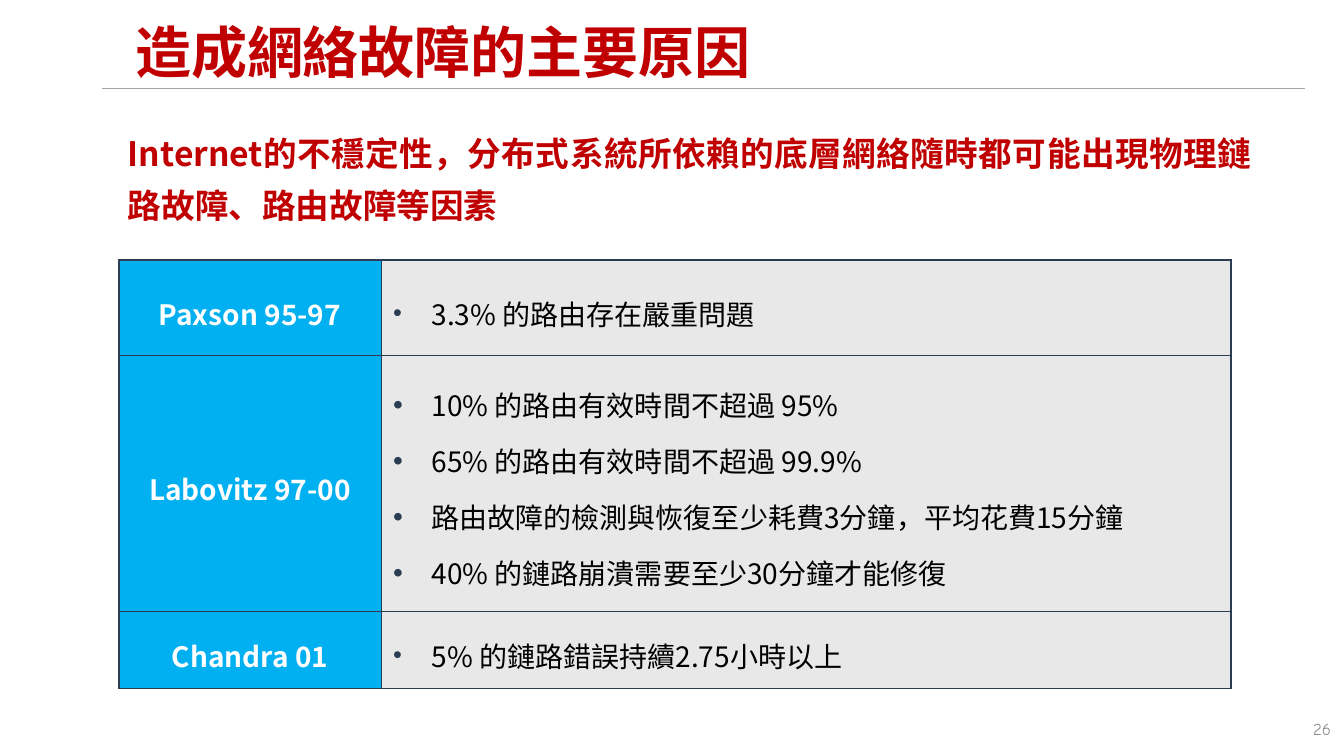
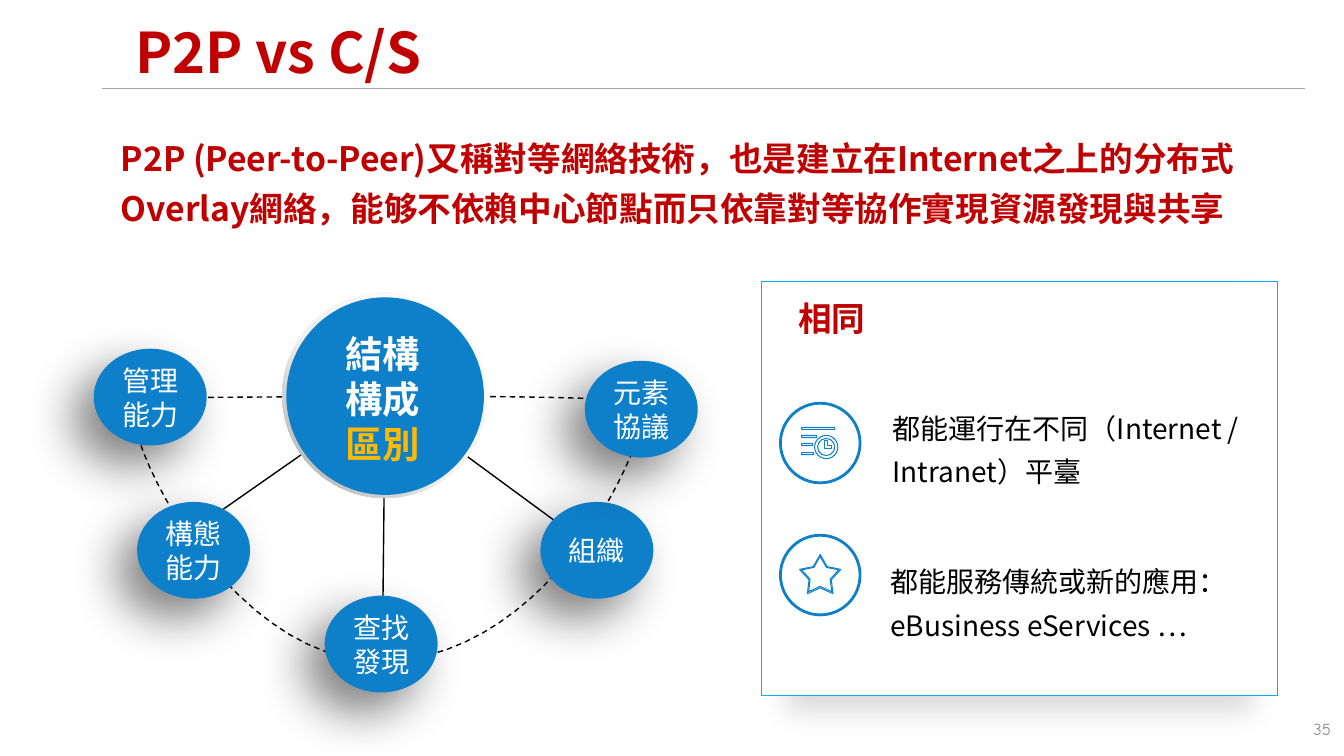
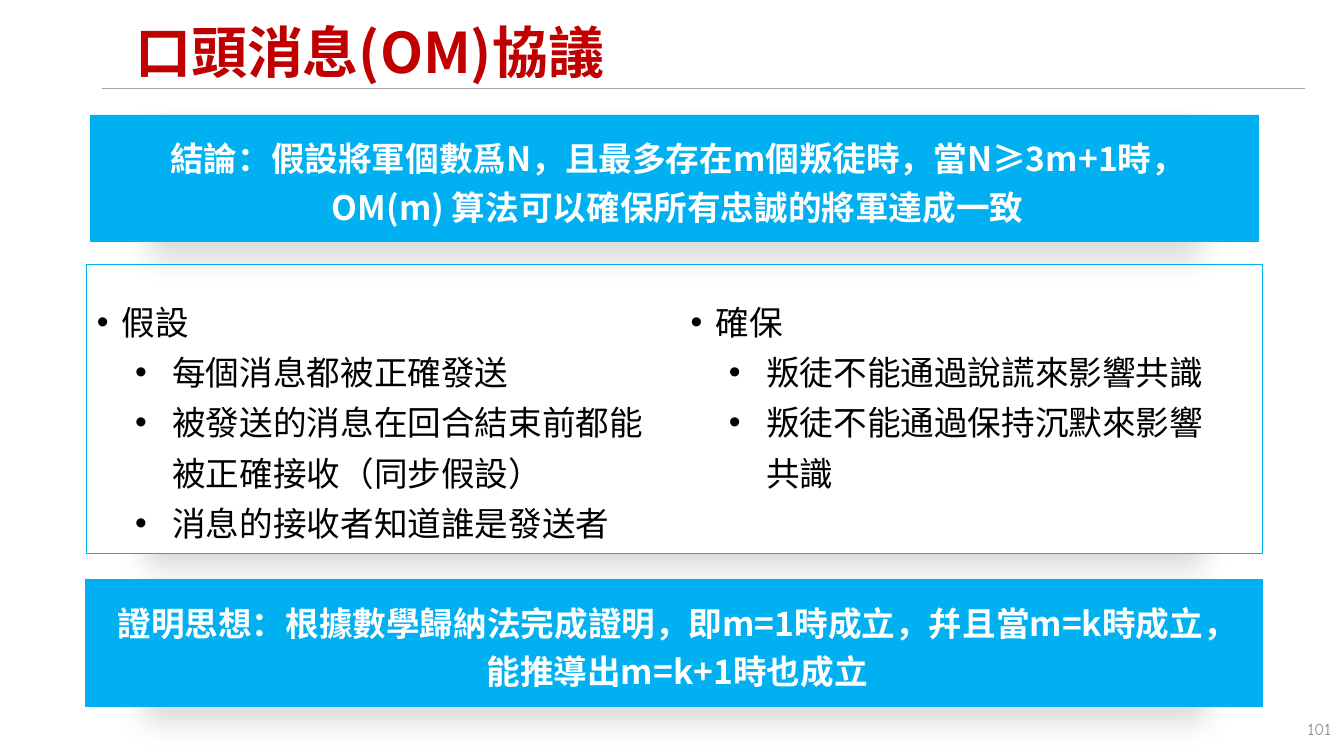
from dataclasses import dataclass

from lxml.etree import SubElement
from pptx import Presentation
from pptx.dml.color import RGBColor
from pptx.enum.dml import MSO_LINE
from pptx.enum.shapes import MSO_CONNECTOR, MSO_SHAPE
from pptx.enum.text import MSO_ANCHOR, MSO_AUTO_SIZE, PP_ALIGN
from pptx.oxml.ns import qn
from pptx.util import Inches, Pt


@dataclass(frozen=True)
class Theme:
    font: str = "Noto Sans CJK SC"
    num_font: str = "Comic Neue"
    red: str = "C00000"
    sky: str = "00B0F0"
    blue: str = "0E80C9"
    gold: str = "FEBA01"
    navy: str = "2A3D52"
    pale: str = "E8E8E9"
    mist: str = "F2F2F2"
    rule: str = "A6A6A6"
    gray: str = "8C8C8C"
    white: str = "FFFFFF"
    black: str = "000000"
    title: float = 40
    hub: float = 26.7
    lead: float = 24
    text: float = 20
    num: float = 12


T = Theme()
LEFT, MID, RIGHT = PP_ALIGN.LEFT, PP_ALIGN.CENTER, PP_ALIGN.RIGHT
NODE_SHADE = dict(alpha=50, blur=35, dist=20, angle=135)
BOX_SHADE = dict(alpha=15, blur=20, dist=10, angle=90, wide=90)

FAULTS = dict(
    title="造成網絡故障的主要原因", number="26",
    lead="Internet的不穩定性，分布式系統所依賴的底層網絡隨時都可能出現物理鏈路故障、路由故障等因素",
    cols=(2.6, 8.43), rows=(0.95, 2.54, 0.76),
    table=[
        ("Paxson 95-97", ["3.3% 的路由存在嚴重問題"]),
        ("Labovitz 97-00", [
            "10% 的路由有效時間不超過 95%",
            "65% 的路由有效時間不超過 99.9%",
            "路由故障的檢測與恢復至少耗費3分鐘，平均花費15分鐘",
            "40% 的鏈路崩潰需要至少30分鐘才能修復"]),
        ("Chandra 01", ["5% 的鏈路錯誤持續2.75小時以上"]),
    ])

PEERS = dict(
    title="P2P vs C/S", number="35",
    lead="P2P (Peer-to-Peer)又稱對等網絡技術，也是建立在Internet之上的分布式Overlay網絡，"
         "能够不依賴中心節點而只依靠對等協作實現資源發現與共享",
    hub=["結構", "構成", "區別"],
    nodes=[("管理能力", 0.93, 3.46), ("構態能力", 1.36, 4.98), ("查找發現", 3.22, 5.91),
           ("組織", 5.36, 4.98), ("元素協議", 5.8, 3.58)],
    spokes=[(1.63, 5.46), (3.79, 6.76), (6.16, 5.65)],
    orbit=[(1.39, 3.94),
           (1.76, 3.96), (5.96, 3.88), (6.38, 4),
           (6.46, 4.33), (5.51, 6.49), (3.84, 6.56),
           (2.16, 6.63), (1.01, 3.93), (1.39, 3.94)],
    same="相同",
    points=[("都能運行在不同（Internet / Intranet）平臺", (8.72, 3.91, 3.85, 0.97)),
            ("都能服務傳統或新的應用：eBusiness eServices …", (8.7, 5.43, 3.72, 0.97))],
    rings=(4, 5.31))

ORAL = dict(
    title="口頭消息(OM)協議", number="101",
    bands=[((0.9, 1.14, 11.58, 1.26),
            ["結論：假設將軍個數爲N，且最多存在m個叛徒時，當N≥3m+1時，",
             "OM(m) 算法可以確保所有忠誠的將軍達成一致"]),
           ((0.85, 5.75, 11.67, 1.26),
            ["證明思想：根據數學歸納法完成證明，即m=1時成立，幷且當m=k時成立，能推導出m=k+1時也成立"])],
    lists=[((0.86, 2.84, 5.64, 2.65),
            [("假設", 0), ("每個消息都被正確發送", 1),
             ("被發送的消息在回合結束前都能被正確接收（同步假設）", 1),
             ("消息的接收者知道誰是發送者", 1)]),
           ((6.75, 2.84, 5.37, 2.34),
            [("確保", 0), ("叛徒不能通過說謊來影響共識", 1),
             ("叛徒不能通過保持沉默來影響共識", 1)])])

ICON_BARS = [(4.24, 0.33), (4.32, 0.15), (4.4, 0.11), (4.49, 0.12)]
ICON_HAND = [(8.18, 4.37), (8.21, 4.37), (8.21, 4.42), (8.25, 4.42), (8.25, 4.45),
             (8.18, 4.45)]


def rgb(code):
    return RGBColor.from_string(code)


def inch(box):
    return [Inches(v) for v in box]


def bullet(para, left, hang, color=None, scale=None):
    props = para._p.get_or_add_pPr()
    props.set("marL", str(Inches(left)))
    props.set("indent", str(-Inches(hang)))
    if color:
        SubElement(SubElement(props, qn("a:buClr")), qn("a:srgbClr")).set("val", color)
    if scale:
        SubElement(props, qn("a:buSzPct")).set("val", str(scale * 1000))
    SubElement(props, qn("a:buFont")).set("typeface", "Arial")
    SubElement(props, qn("a:buChar")).set("char", "•")


def write(frame, lines, size, color, bold=False, align=LEFT, gap=None,
          before=0, marks=None, font=T.font):
    """Fill a frame; a line is a string or a (string, level) pair."""
    for i, line in enumerate(lines):
        text, level = (line, 0) if isinstance(line, str) else line
        para = frame.add_paragraph() if i else frame.paragraphs[0]
        para.level, para.alignment = level, align
        para.space_before = Pt(before if i else 0)
        if gap:
            para.line_spacing = gap
        if marks:
            bullet(para, *marks[level])
        run = para.add_run()
        run.text = text
        run.font.size, run.font.bold = Pt(size), bold
        run.font.color.rgb = rgb(color)
        run.font.name = font
        SubElement(run._r.get_or_add_rPr(), qn("a:ea")).set("typeface", font)


def setup(frame, anchor=MSO_ANCHOR.TOP, inset=(0.1, 0.05, 0.1, 0.05), wrap=True):
    frame.auto_size, frame.word_wrap = MSO_AUTO_SIZE.NONE, wrap
    frame.vertical_anchor = anchor
    (frame.margin_left, frame.margin_top,
     frame.margin_right, frame.margin_bottom) = inch(inset)
    return frame


def place(holder, box):
    holder.left, holder.top, holder.width, holder.height = inch(box)


def label(slide, box, lines, size, color, wrap=True, **style):
    frame = setup(slide.shapes.add_textbox(*inch(box)).text_frame, wrap=wrap)
    write(frame, lines, size, color, **style)
    return frame


def shade(shape, alpha, blur, dist, angle, wide=100):
    effects = shape._element.spPr.find(qn("a:effectLst"))
    outer = SubElement(effects, qn("a:outerShdw"), blurRad=str(Pt(blur)),
                       dist=str(Pt(dist)), dir=str(angle * 60000),
                       sx=str(wide * 1000), algn="t", rotWithShape="0")
    tone = SubElement(outer, qn("a:srgbClr"), val=T.black)
    SubElement(tone, qn("a:alpha"), val=str(alpha * 1000))


def dress(shape, fill=None, line=None, width=1):
    shape.shadow.inherit = False
    if fill:
        shape.fill.solid()
        shape.fill.fore_color.rgb = rgb(fill)
    else:
        shape.fill.background()
    if line:
        shape.line.color.rgb, shape.line.width = rgb(line), Pt(width)
    else:
        shape.line.fill.background()
    return shape


def draw(slide, kind, box, fill, line=None, width=1, shadow=None):
    shape = dress(slide.shapes.add_shape(kind, *inch(box)), fill, line, width)
    if shadow:
        shade(shape, **shadow)
    return shape


def outline(slide, points, **look):
    pen = slide.shapes.build_freeform(*inch(points[0]))
    pen.add_line_segments([inch(p) for p in points[1:]], close=True)
    return dress(pen.convert_to_shape(), **look)


def link(slide, start, end, color):
    line = slide.shapes.add_connector(MSO_CONNECTOR.STRAIGHT, *inch(start + end))
    line.line.color.rgb, line.line.width = rgb(color), Pt(1)
    SubElement(line._element.spPr, qn("a:effectLst"))
    return line


def start(prs, layout, data):
    slide = prs.slides.add_slide(prs.slide_layouts[layout])
    title = slide.shapes.title
    place(title, (1.24, 0.15, 11.18, 0.79))
    write(setup(title.text_frame, MSO_ANCHOR.MIDDLE), [data["title"]],
          T.title, T.red, True, gap=0.9)
    label(slide, (10.19, 7.08, 3.11, 0.4), [data["number"]], T.num, T.gray,
          align=RIGHT, font=T.num_font)
    return slide


def border(cell):
    props = cell._tc.get_or_add_tcPr()
    for i, side in enumerate(("lnL", "lnR", "lnT", "lnB")):
        edge = props.makeelement(qn("a:" + side), {"w": str(Pt(1))})
        SubElement(SubElement(edge, qn("a:solidFill")), qn("a:srgbClr"), val=T.navy)
        props.insert(i, edge)


def build_faults(prs):
    slide = start(prs, 5, FAULTS)
    cols, rows = FAULTS["cols"], FAULTS["rows"]
    label(slide, (1.17, 1.15, 11.34, 1.1), [FAULTS["lead"]], T.lead, T.red,
          bold=True, align=PP_ALIGN.JUSTIFY, gap=1.3)
    table = slide.shapes.add_table(
        len(rows), len(cols), *inch((1.18, 2.58, sum(cols), sum(rows)))).table
    table.first_row = table.horz_banding = False
    for col, width in zip(table.columns, cols):
        col.width = Inches(width)
    for row, height, (name, facts) in zip(table.rows, rows, FAULTS["table"]):
        row.height = Inches(height)
        for cell, fill in zip(row.cells, (T.sky, T.pale)):
            cell.fill.solid()
            cell.fill.fore_color.rgb = rgb(fill)
            cell.vertical_anchor = MSO_ANCHOR.MIDDLE
            cell.margin_left = cell.margin_right = Inches(0.12)
            cell.margin_top = cell.margin_bottom = Inches(0.06)
            border(cell)
        head, body = row.cells
        write(head.text_frame, [name], T.text, T.white, True, MID, Pt(36))
        scale = 90 if len(facts) == 1 else 100
        write(body.text_frame, facts, T.text, T.black, gap=Pt(36), before=4,
              marks=[(0.38, 0.38, T.navy, scale)])


def curve(points, steps=24):
    """Sample a chain of cubic curves."""
    spots = [points[0]]
    for i in range(0, len(points) - 1, 3):
        for n in range(1, steps + 1):
            t = n / steps
            parts = ((1 - t) ** 3, 3 * t * (1 - t) ** 2, 3 * t * t * (1 - t), t ** 3)
            spots.append([sum(w * p[k] for w, p in zip(parts, points[i:i + 4]))
                          for k in (0, 1)])
    return spots


def add_hub(slide):
    rim = draw(slide, MSO_SHAPE.DONUT, (2.8, 2.9, 2.04, 2.04), T.white)
    rim.adjustments[0] = 0.05
    rim.fill.gradient()
    rim.fill.gradient_angle = 225
    stops = rim._element.spPr.find(qn("a:gradFill")).find(qn("a:gsLst"))
    for stop in list(stops):
        stops.remove(stop)
    for pos, color in ((0, T.white), (55, T.mist), (100, T.rule)):
        stop = SubElement(stops, qn("a:gs"), pos=str(pos * 1000))
        SubElement(stop, qn("a:srgbClr"), val=color)
    draw(slide, MSO_SHAPE.OVAL, (2.84, 2.95, 1.96, 1.96), T.blue)
    frame = label(slide, (3.32, 3.24, 0.95, 1.45), PEERS["hub"], T.hub, T.white,
                  wrap=False, bold=True, align=MID)
    frame.paragraphs[-1].runs[0].font.color.rgb = rgb(T.gold)


def add_icons(slide):
    def mark(kind, box, width=0.75):
        return draw(slide, kind, box, T.white, T.blue, width)

    for top in PEERS["rings"]:
        mark(MSO_SHAPE.OVAL, (7.74, top, 0.79, 0.79), 2)
    for top, width in ICON_BARS:
        mark(MSO_SHAPE.ROUNDED_RECTANGLE, (7.95, top, width, 0.02))
    mark(MSO_SHAPE.DONUT, (8.08, 4.32, 0.23, 0.23)).adjustments[0] = 0.13
    outline(slide, ICON_HAND, fill=T.white, line=T.blue, width=0.75)
    for box in ((7.93, 5.5, 0.41, 0.39), (7.95, 5.52, 0.37, 0.35)):
        mark(MSO_SHAPE.STAR_5_POINT, box).adjustments[0] = 0.27


def build_peers(prs):
    slide = start(prs, 5, PEERS)
    label(slide, (1.1, 1.22, 11.34, 1.06), [PEERS["lead"]], T.lead, T.red,
          bold=True, gap=Pt(36))
    orbit = outline(slide, curve(PEERS["orbit"]), line=T.black)
    orbit.line.dash_style = MSO_LINE.DASH
    for spot in PEERS["spokes"]:
        link(slide, spot, (3.82, 3.93), T.black)
    for i, (name, left, top) in enumerate(PEERS["nodes"]):
        node = draw(slide, MSO_SHAPE.OVAL, (left, top, 1.12, 0.96), T.blue,
                    shadow=NODE_SHADE)
        write(setup(node.text_frame, MSO_ANCHOR.MIDDLE), [name], T.text, T.white,
              align=MID)
        if i == 0:
            add_hub(slide)
    draw(slide, MSO_SHAPE.RECTANGLE, (7.55, 2.79, 5.12, 4.11), T.white, T.sky, 0.5,
         BOX_SHADE)
    add_icons(slide)
    for text, box in PEERS["points"]:
        panel = draw(slide, MSO_SHAPE.RECTANGLE, box, T.white)
        write(setup(panel.text_frame, inset=(0.13, 0.07, 0.13, 0.07)), [text],
              T.text, T.black, gap=1.3)
    label(slide, (7.82, 2.91, 1.7, 0.5), [PEERS["same"]], T.lead, T.red, bold=True)


def build_oral(prs):
    slide = start(prs, 3, ORAL)
    panel = draw(slide, MSO_SHAPE.RECTANGLE, (0.86, 2.62, 11.66, 2.87), T.white,
                 T.sky, 0.5, BOX_SHADE)
    slide.shapes.element.insert(2, panel._element)
    bodies = [h for h in slide.placeholders if h.placeholder_format.idx]
    for holder, (box, items) in zip(bodies, ORAL["lists"]):
        place(holder, box)
        write(setup(holder.text_frame), items, T.lead, T.black, gap=Pt(36),
              marks=[(0.25, 0.25), (0.75, 0.37)])
    for holder in bodies[len(ORAL["lists"]):]:
        slide.shapes.element.remove(holder._element)
    for box, lines in ORAL["bands"]:
        band = draw(slide, MSO_SHAPE.RECTANGLE, box, T.sky, T.sky, 0.5, BOX_SHADE)
        write(setup(band.text_frame, MSO_ANCHOR.MIDDLE, (0.16, 0.12, 0.1, 0.12)),
              lines, T.lead, T.white, True, MID, 1.2)


def main():
    prs = Presentation()
    prs.slide_width, prs.slide_height = Inches(13.33), Inches(7.5)
    for build in (build_faults, build_peers, build_oral):
        build(prs)
    rule = link(prs.slides[0], (1.01, 0.88), (12.94, 0.88), T.rule)
    prs.slide_master.shapes.element.append(rule._element)
    prs.save("out.pptx")


if __name__ == "__main__":
    main()
